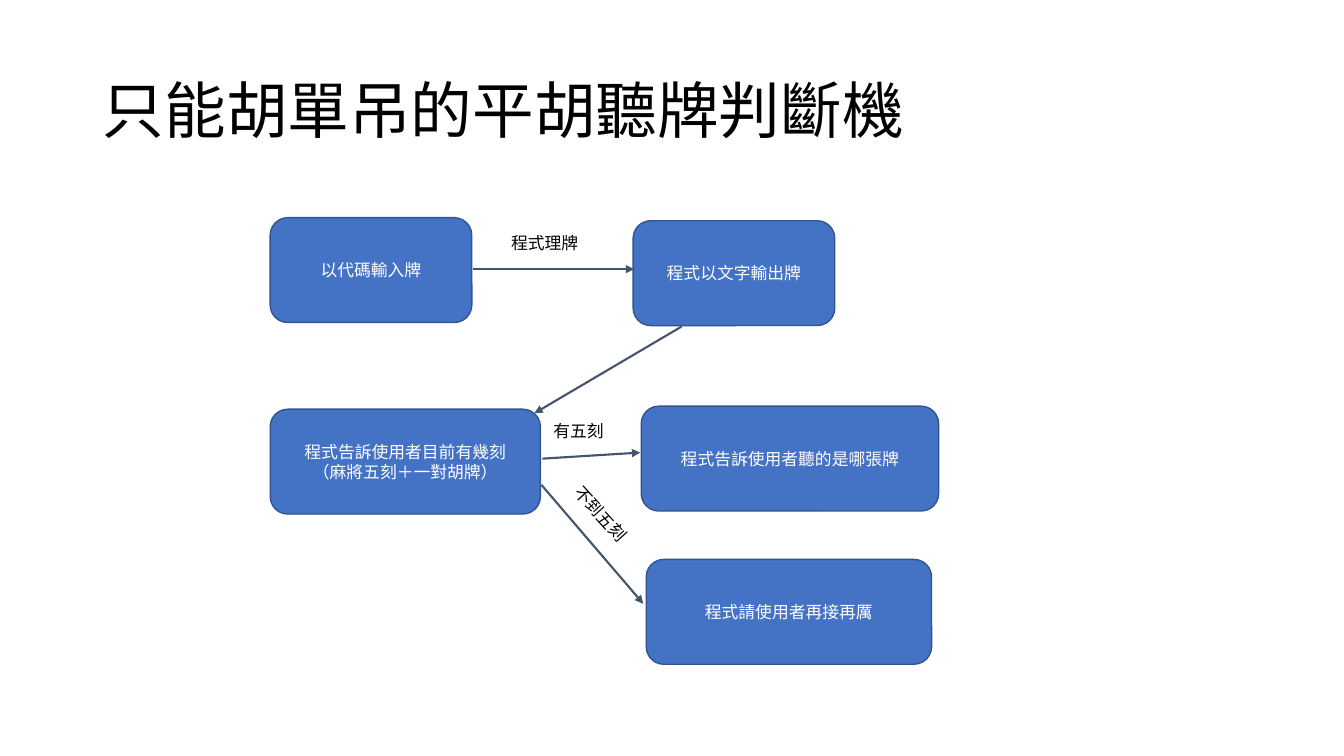
from pptx import Presentation
from pptx.util import Inches, Pt
from pptx.dml.color import RGBColor
from pptx.enum.shapes import MSO_SHAPE as Shape, MSO_CONNECTOR as Line
from pptx.enum.text import PP_ALIGN as Align, MSO_ANCHOR as Anchor, MSO_AUTO_SIZE as Fit
from pptx.oxml.ns import qn
from lxml.etree import SubElement as Sub

HUES = {"box": "4472C4", "edge": "325491", "arrow": "44546A",
        "light": "FFFFFF", "dark": "000000"}
FONT = "Calibri"
BOX_H = 1.04
TAG_H = 0.41


class Chart:
    def __init__(self, slide):
        self.slide = slide
        self.shapes = slide.shapes

    def hue(self, name):
        return RGBColor.from_string(HUES[name])

    def style(self, frame, text, size, hue, align, anchor):
        frame.text = text
        frame.word_wrap = True
        frame.auto_size = Fit.NONE
        frame.vertical_anchor = anchor
        for para in frame.paragraphs:
            para.alignment = align
            for run in para.runs:
                run.font.size = Pt(size)
                run.font.name = FONT
                run.font.color.rgb = self.hue(hue)

    def title(self, text, *place):
        head = self.shapes.title
        head.left, head.top, head.width, head.height = map(Inches, place)
        self.style(head.text_frame, text, 44, "dark", Align.LEFT, Anchor.MIDDLE)
        head.text_frame.paragraphs[0].line_spacing = 0.9

    def box(self, text, left, top, width):
        box = self.shapes.add_shape(Shape.ROUNDED_RECTANGLE, Inches(left), Inches(top),
                                    Inches(width), Inches(BOX_H))
        box.shadow.inherit = False
        box.fill.solid()
        box.fill.fore_color.rgb = self.hue("box")
        box.line.color.rgb = self.hue("edge")
        box.line.width = Pt(1)
        self.style(box.text_frame, text, 12, "light", Align.CENTER, Anchor.MIDDLE)

    def arrow(self, *ends):
        line = self.shapes.add_connector(Line.STRAIGHT, *map(Inches, ends))
        line.line.color.rgb = self.hue("arrow")
        line.line.width = Pt(1.5)
        props = line._element.spPr
        Sub(props.find(qn("a:ln")), qn("a:tailEnd"), type="triangle")
        Sub(props, qn("a:effectLst"))

    def label(self, text, left, top, width, turn=0):
        tag = self.shapes.add_textbox(Inches(left), Inches(top),
                                      Inches(width), Inches(TAG_H))
        tag.rotation = turn
        self.style(tag.text_frame, text, 12, "dark", Align.LEFT, Anchor.TOP)


def main():
    deck = Presentation()
    deck.slide_width, deck.slide_height = Inches(13.33), Inches(7.5)
    chart = Chart(deck.slides.add_slide(deck.slide_layouts[5]))
    chart.title("只能胡單吊的平胡聽牌判斷機", 0.92, 0.4, 11.5, 1.45)

    # Steps
    for step in [
        ("以代碼輸入牌", 2.68, 2.16, 2),
        ("程式以文字輸出牌", 6.28, 2.19, 2),
        ("程式告訴使用者目前有幾刻\n（麻將五刻＋一對胡牌）", 2.68, 4.06, 2.68),
        ("程式告訴使用者聽的是哪張牌", 6.36, 4.03, 2.95),
        ("程式請使用者再接再厲", 6.41, 5.55, 2.83),
    ]:
        chart.box(*step)

    # Arrows between steps
    for ends in [
        (4.69, 2.67, 6.29, 2.67),
        (6.76, 3.24, 5.3, 4.1),
        (5.37, 4.81, 6.38, 5.99),
        (5.38, 4.55, 6.35, 4.49),
    ]:
        chart.arrow(*ends)

    # Arrow labels
    chart.label("有五刻", 5.39, 4.12, 0.93)
    chart.label("不到五刻", 5.44, 5.03, 1.14, turn=48)
    chart.label("程式理牌", 4.97, 2.26, 1.12)

    deck.save("out.pptx")


if __name__ == "__main__":
    main()
